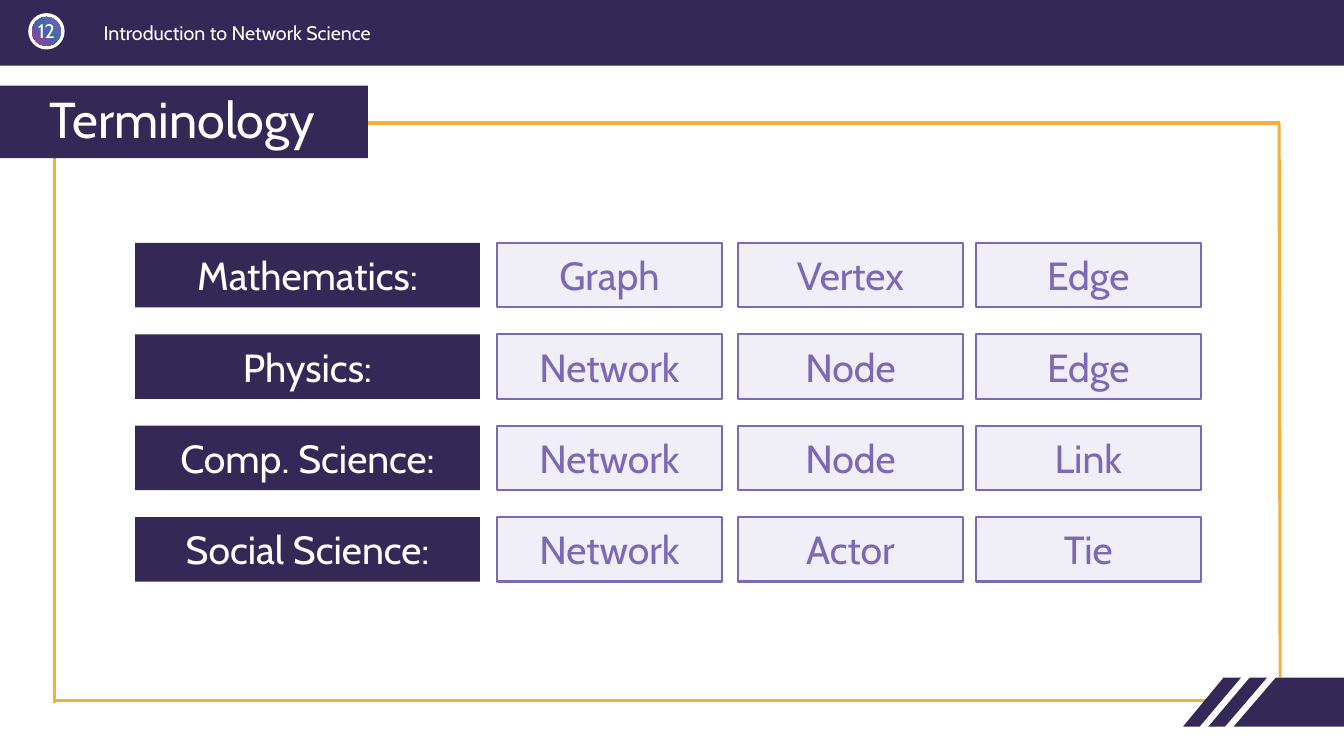
from copy import deepcopy
from dataclasses import dataclass

from lxml import etree
from pptx import Presentation
from pptx.dml.color import RGBColor
from pptx.enum.shapes import MSO_CONNECTOR, MSO_SHAPE
from pptx.enum.text import MSO_ANCHOR, MSO_AUTO_SIZE, PP_ALIGN
from pptx.oxml.ns import qn
from pptx.shapes.autoshape import Shape
from pptx.slide import Slide
from pptx.util import Pt

RECTANGLE = MSO_SHAPE.RECTANGLE
OVAL = MSO_SHAPE.OVAL
STRAIGHT = MSO_CONNECTOR.STRAIGHT
MIDDLE = MSO_ANCHOR.MIDDLE
NO_AUTOFIT = MSO_AUTO_SIZE.NONE
LEFT = PP_ALIGN.LEFT
CENTER = PP_ALIGN.CENTER

FONT = "Cabin"
COLOURS = {
    "navy": "342956",
    "white": "FFFFFF",
    "orange": "F7AC3B",
    "violet": "7B68B7",
    "lavender": "F0EEF7",
    "badge start": "7864B5",
    "badge middle": "4269A5",
    "badge end": "B2329A",
}


@dataclass(frozen=True)
class Area:
    left: float
    top: float
    width: float
    height: float

    def lengths(self) -> tuple[Pt, Pt, Pt, Pt]:
        return Pt(self.left), Pt(self.top), Pt(self.width), Pt(self.height)


@dataclass(frozen=True)
class Stroke:
    start: tuple[float, float]
    end: tuple[float, float]
    colour: str
    weight: float


@dataclass(frozen=True)
class Column:
    left: float
    width: float
    fill: str
    text: str
    outline: str | None = None


SLIDE_WIDTH, SLIDE_HEIGHT = 960, 540
HEADER = Area(0, -2.16, SLIDE_WIDTH, 49)
BADGE_RING = Area(20.16, 9.36, 26, 26)
BADGE_CORE = Area(22.9, 12.1, 20.6, 20.6)
BADGE_NUMBER = Area(20.16, 13.68, 26, 17.28)
HEADER_TEXT = Area(66.96, 11.52, 403.92, 21.6)
TITLE = Area(0, 61.2, 262.8, 51.84)
TITLE_INDENT = 28.08

FRAME = [
    Stroke((914.4, 483.84), (913.68, 87.84), "orange", 2.25),
    Stroke((38.88, 501.84), (38.88, 110.16), "orange", 2.25),
    Stroke((38.16, 500.4), (871.2, 500.4), "orange", 2.25),
    Stroke((38.88, 87.84), (914.4, 87.84), "orange", 2.25),
]
CORNER = [(874.08, 484.2), (960, 483.84), (960, 519.12), (844.56, 519.12)]
CORNER_STRIPES = [
    Stroke((853.2, 527.04), (896.4, 475.92), "white", 4.5),
    Stroke((871.2, 527.04), (910.8, 480.96), "white", 4.5),
]

ROW_TOP, ROW_PITCH, ROW_HEIGHT = 173.52, 65.28, 46.08
COLUMNS = [Column(96.48, 246.24, "navy", "white")] + [
    Column(left, 160.8, "lavender", "violet", "violet")
    for left in (354.96, 527.04, 696.96)
]
TERMS = [
    ("Mathematics:", "Graph", "Vertex", "Edge"),
    ("Physics:", "Network", "Node", "Edge"),
    ("Comp. Science:", "Network", "Node", "Link"),
    ("Social Science:", "Network", "Actor", "Tie"),
]


def colour(name: str) -> RGBColor:
    return RGBColor.from_string(COLOURS[name])


def paint(box: Shape, fill: str, outline: str | None = None) -> None:
    box.shadow.inherit = False
    box.fill.solid()
    box.fill.fore_color.rgb = colour(fill)
    if outline:
        box.line.color.rgb = colour(outline)
        box.line.width = Pt(1.5)
    else:
        box.line.fill.background()


def add_box(page: Slide, kind: MSO_SHAPE, area: Area, fill: str,
            outline: str | None = None) -> Shape:
    box = page.shapes.add_shape(kind, *area.lengths())
    paint(box, fill, outline)
    return box


def write(box: Shape, text: str, size: float, text_colour: str,
          align: PP_ALIGN) -> None:
    box.text_frame.text = text
    box.text_frame.word_wrap = True
    para = box.text_frame.paragraphs[0]
    para.alignment = align
    span = para.runs[0]
    span.font.name = FONT
    span.font.size = Pt(size)
    span.font.color.rgb = colour(text_colour)


def add_label(page: Slide, area: Area, text: str, align: PP_ALIGN) -> Shape:
    box = page.shapes.add_textbox(*area.lengths())
    write(box, text, 14, "white", align)
    return box


def draw_stroke(page: Slide, stroke: Stroke) -> None:
    points = [Pt(value) for value in stroke.start + stroke.end]
    line = page.shapes.add_connector(STRAIGHT, *points)
    line.line.color.rgb = colour(stroke.colour)
    line.line.width = Pt(stroke.weight)
    etree.SubElement(line._element.spPr, qn("a:effectLst"))


def draw_badge(page: Slide) -> None:
    add_box(page, OVAL, BADGE_RING, "white")
    core = add_box(page, OVAL, BADGE_CORE, "badge start")
    core.fill.gradient()
    core.fill.gradient_angle = 225
    first, last = core.fill.gradient_stops
    first.color.rgb = colour("badge middle")
    middle = deepcopy(first._gs)
    middle.set("pos", "49000")
    first._gs.addnext(middle)
    first.color.rgb = colour("badge start")
    last.color.rgb = colour("badge end")
    number = add_label(page, BADGE_NUMBER, "12", CENTER).text_frame
    number.margin_left = number.margin_right = Pt(0)
    number.margin_top = number.margin_bottom = Pt(0)


def draw_corner(page: Slide) -> None:
    builder = page.shapes.build_freeform(*CORNER[0], scale=Pt(1))
    builder.add_line_segments(CORNER[1:], close=True)
    paint(builder.convert_to_shape(), "navy")
    for stripe in CORNER_STRIPES:
        draw_stroke(page, stripe)


def place_title(page: Slide) -> None:
    title = page.shapes.title
    title.left, title.top, title.width, title.height = TITLE.lengths()
    paint(title, "navy")
    write(title, "Terminology", 36, "white", LEFT)
    title.text_frame.auto_size = NO_AUTOFIT
    title.text_frame.vertical_anchor = MIDDLE
    para = title.text_frame.paragraphs[0]
    para.line_spacing = 0.9
    properties = para._p.get_or_add_pPr()
    properties.set("marL", str(Pt(TITLE_INDENT)))
    properties.set("indent", "0")
    page.shapes._spTree.append(title._element)


def draw_terms(page: Slide) -> None:
    for index, terms in enumerate(TERMS):
        top = ROW_TOP + index * ROW_PITCH
        for column, term in zip(COLUMNS, terms):
            area = Area(column.left, top, column.width, ROW_HEIGHT)
            box = add_box(page, RECTANGLE, area, column.fill, column.outline)
            write(box, term, 28, column.text, CENTER)
            box.text_frame.vertical_anchor = MIDDLE


def main() -> None:
    deck = Presentation()
    deck.slide_width, deck.slide_height = Pt(SLIDE_WIDTH), Pt(SLIDE_HEIGHT)
    page = deck.slides.add_slide(deck.slide_layouts.get_by_name("Title Only"))
    add_box(page, RECTANGLE, HEADER, "navy")
    draw_badge(page)
    add_label(page, HEADER_TEXT, "Introduction to Network Science", LEFT)
    for stroke in FRAME:
        draw_stroke(page, stroke)
    draw_corner(page)
    place_title(page)
    draw_terms(page)
    deck.save("out.pptx")


if __name__ == "__main__":
    main()
